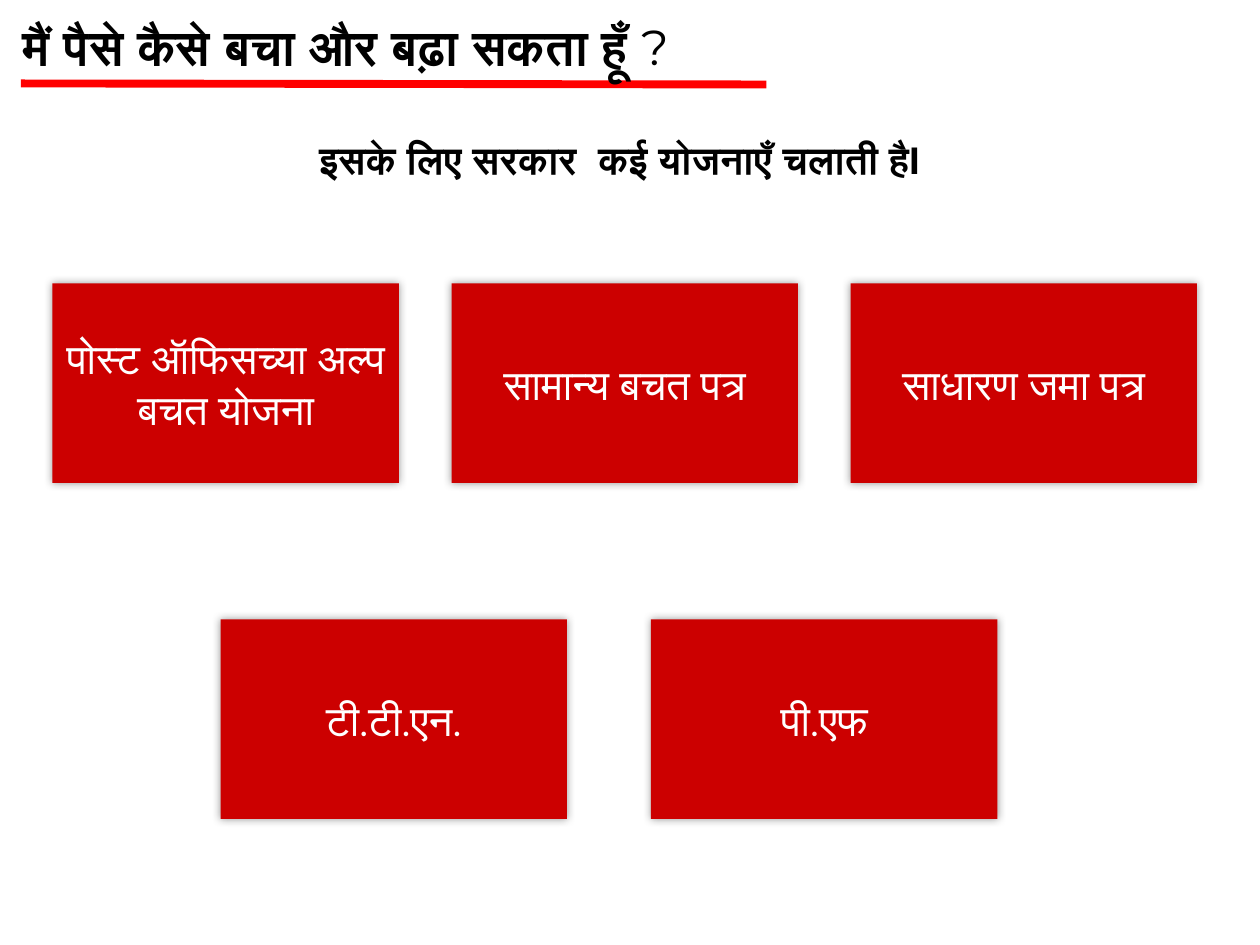
from lxml.etree import SubElement
from pptx import Presentation
from pptx.dml.color import RGBColor
from pptx.enum.shapes import MSO_CONNECTOR as Connector, MSO_SHAPE as Shape
from pptx.enum.text import MSO_ANCHOR as Anchor, MSO_AUTO_SIZE as AutoSize, PP_ALIGN as Align
from pptx.oxml.ns import qn
from pptx.util import Inches, Pt

COLUMNS, ROWS = 120, 90
CARD_WIDTH, CARD_HEIGHT = 33, 19
# Each row of cards: top row, first column, column step, labels
CARD_ROWS = [
    (27, 5, 38, ["पोस्ट ऑफिसच्या अल्प बचत योजना", "सामान्य बचत पत्र", "साधारण जमा पत्र"]),
    (59, 21, 41, ["टी.टी.एन.", "पी.एफ"]),
]


def rgb(color):
    return RGBColor.from_string(color)


def write(paragraph, text, size=24, color="000000", font="Montserrat", bold=False):
    run = paragraph.add_run()
    run.text = text
    run.font.size = Pt(size)
    run.font.name = font
    run.font.bold = bold
    run.font.color.rgb = rgb(color)


def add_glow_shadow(shape, color="000000", opacity=40, blur=5):
    """Give the shape a soft shadow spread evenly on all sides."""
    effects = SubElement(shape._element.spPr, qn("a:effectLst"))
    shadow = SubElement(effects, qn("a:outerShdw"), blurRad=str(Pt(blur)),
                        dist="0", dir="0", algn="ctr", rotWithShape="0")
    tint = SubElement(shadow, qn("a:srgbClr"), val=color)
    SubElement(tint, qn("a:alpha"), val=str(opacity * 1000))


class SchemeSlide:
    """Draws on one slide; lengths are columns and rows of its grid."""
    accent = "FF0000"
    card_fill = "CC0000"
    card_text = "FFFFFF"

    def __init__(self, deck):
        self.deck = deck
        self.slide = deck.slides.add_slide(deck.slide_layouts[6])

    def grid(self, *lengths):
        """Turn alternating column and row counts into slide lengths."""
        units = (self.deck.slide_width / COLUMNS, self.deck.slide_height / ROWS)
        return [round(length * units[i % 2]) for i, length in enumerate(lengths)]

    def rule(self, *ends):
        line = self.slide.shapes.add_connector(Connector.STRAIGHT, *self.grid(*ends))
        line.line.color.rgb = rgb(self.accent)
        line.line.width = Pt(4.5)
        SubElement(line._element.spPr, qn("a:effectLst"))

    def heading(self, *box, runs, align=Align.LEFT):
        frame = self.slide.shapes.add_textbox(*self.grid(*box)).text_frame
        frame.word_wrap = True
        frame.auto_size = AutoSize.SHAPE_TO_FIT_TEXT
        paragraph = frame.paragraphs[0]
        paragraph.alignment = align
        for text, style in runs:
            write(paragraph, text, **style)

    def card(self, column, row, label):
        box = self.grid(column, row, CARD_WIDTH, CARD_HEIGHT)
        card = self.slide.shapes.add_shape(Shape.RECTANGLE, *box)
        card.fill.solid()
        card.fill.fore_color.rgb = rgb(self.card_fill)
        card.line.fill.background()
        add_glow_shadow(card)
        frame = card.text_frame
        frame.word_wrap = True
        frame.vertical_anchor = Anchor.MIDDLE
        paragraph = frame.paragraphs[0]
        paragraph.alignment = Align.CENTER
        write(paragraph, label, color=self.card_text)


def main():
    deck = Presentation()
    deck.slide_width, deck.slide_height = Inches(10), Inches(7.5)
    page = SchemeSlide(deck)
    page.rule(2, 7.95, 73, 8.05)
    page.heading(1, 1, 79, 6.85, runs=[
        ("मैं पैसे कैसे बचा और बढ़ा सकता हूँ ", dict(size=28, bold=True)),
        ("?", dict(size=28)),
    ])
    page.heading(3, 12.4, 112, 5.65, align=Align.CENTER, runs=[
        ("इसके लिए सरकार  कई योजनाएँ चलाती हैI", dict(size=22, font="Arial", bold=True)),
    ])
    for row, first, step, labels in CARD_ROWS:
        for i, label in enumerate(labels):
            page.card(first + i * step, row, label)
    deck.save("out.pptx")


if __name__ == "__main__":
    main()
